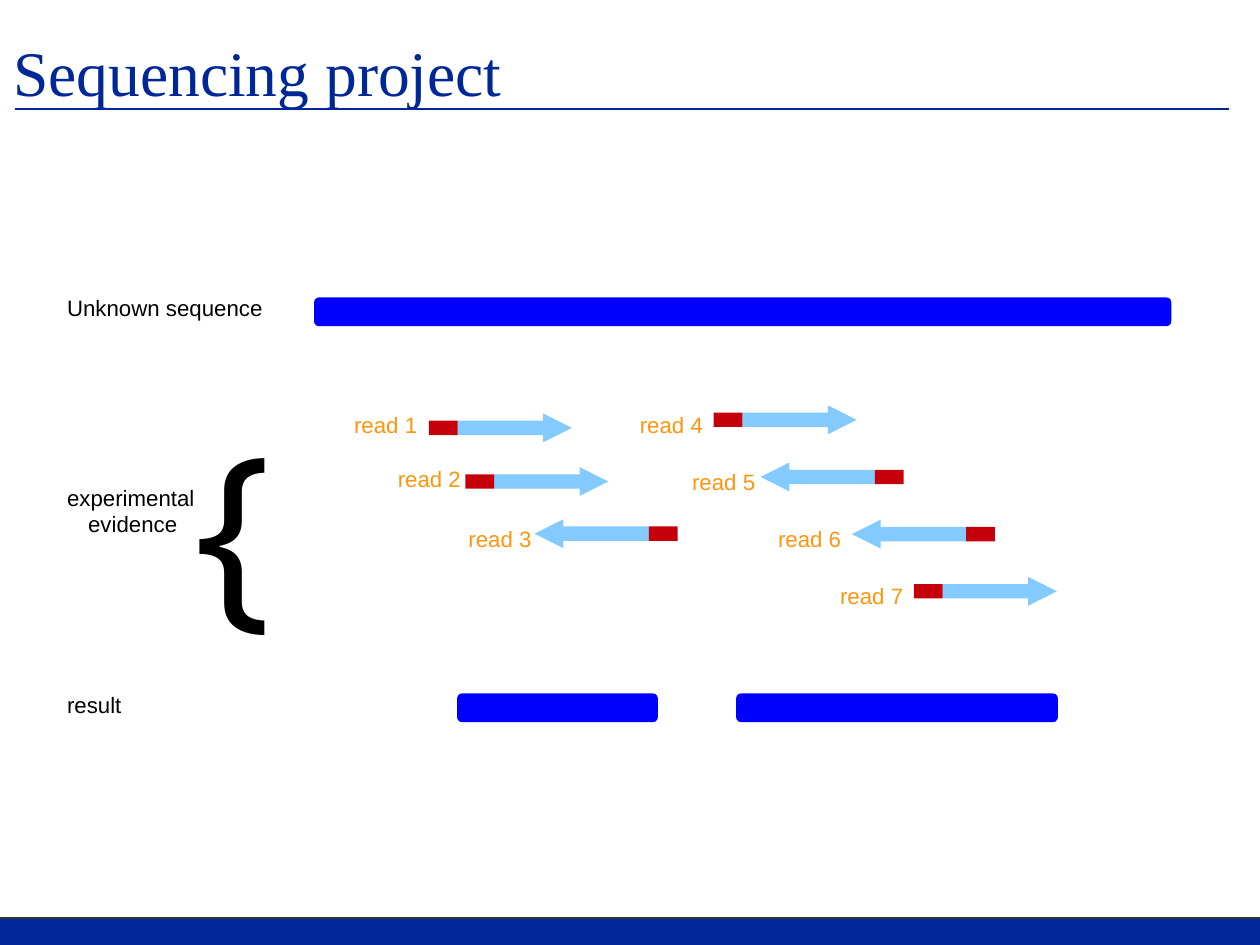
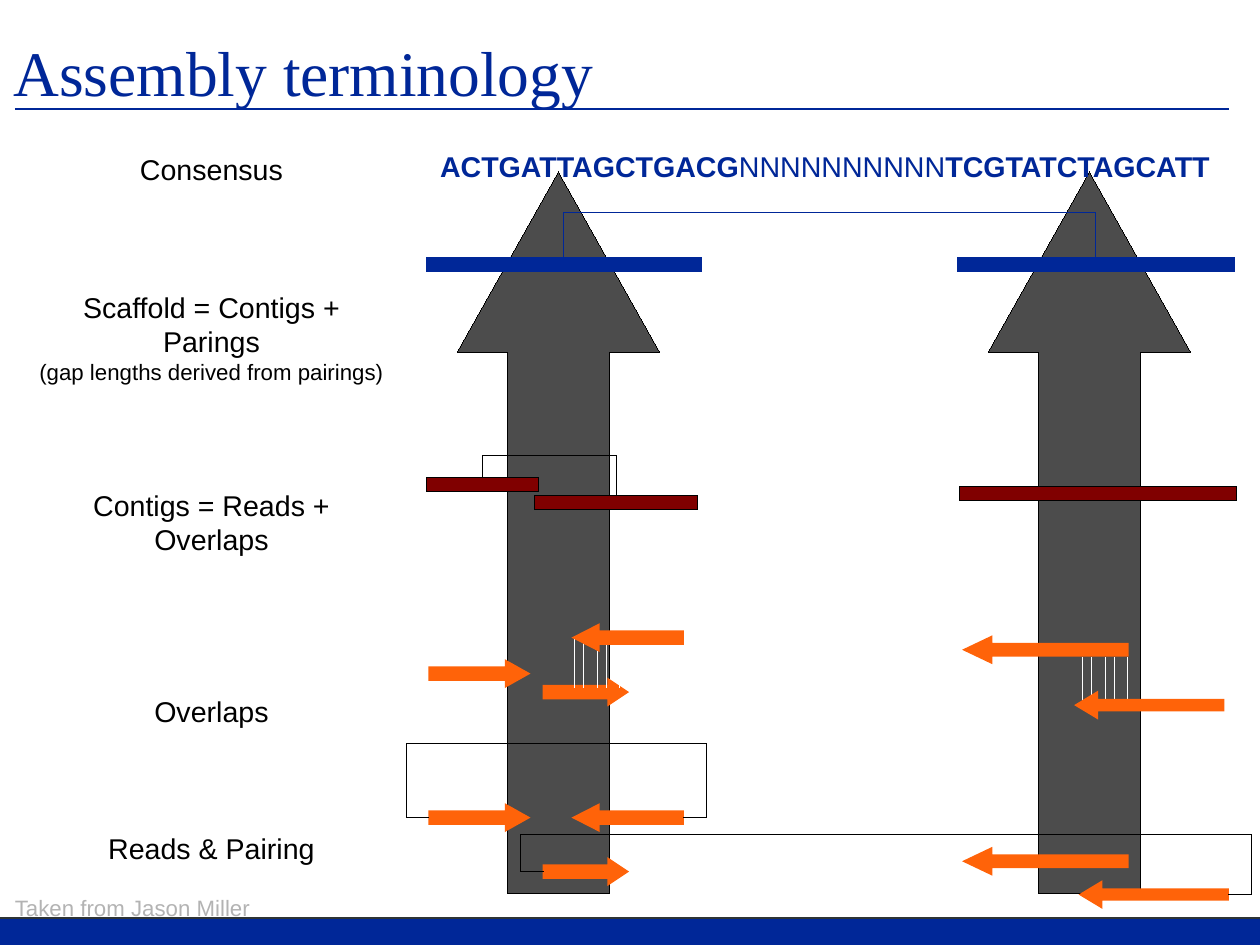
from dataclasses import dataclass

from lxml import etree
from pptx import Presentation
from pptx import util as u
from pptx.dml.color import RGBColor
from pptx.enum import shapes, text
from pptx.oxml import ns

Cm, Pt = u.Cm, u.Pt
PRESET = shapes.MSO_SHAPE


@dataclass(frozen=True)
class Theme:
    navy: str = "002798"
    edge: str = "2E3436"
    black: str = "000000"
    white: str = "FFFFFF"
    blue: str = "0000FF"
    sky: str = "83CAFF"
    primer: str = "C5000B"
    amber: str = "FF950E"
    grey: str = "4C4C4C"
    maroon: str = "800000"
    orange: str = "FF6309"
    pale: str = "B3B3B3"
    title_font: str = "Times New Roman"
    font: str = "Arial"
    brace_font: str = "Noto Sans Mono"
    title: float = 40
    large: float = 18
    small: float = 14
    brace: float = 127.8
    rule: float = 1.42
    hairline: float = 0.01


THEME = Theme()
SLIDE_WIDTH, SLIDE_HEIGHT = 28, 21
BAND_TOP = 20.4
TITLE_BOX = (0.3, -0.17, 26.6, 3.5)
RULES = [((0, BAND_TOP), (28, BAND_TOP), THEME.edge),
         ((0.33, 2.43), (27.31, 2.43), THEME.navy)]

LABEL_HEIGHT = 0.81
ROW_LABELS = [("Unknown sequence", 6.41, 4.95), ("result", 15.24, 1.83),
              ("experimental\nevidence", 10.63, 3.42)]
SEQUENCE_BARS = [(6.98, 6.61, 19.05), (10.16, 15.41, 4.46), (16.36, 15.41, 7.15)]
READ_HEIGHT, READ_LENGTH = 0.64, 2.54
PRIMER_LENGTH, PRIMER_HEIGHT = 0.64, 0.32
READS = [
    ("read 1", 7.62, 9.02, 9.53, 9.19, "right"),
    ("read 2", 8.59, 10.21, 10.34, 10.38, "right"),
    ("read 3", 10.16, 11.54, 11.88, 11.54, "left"),
    ("read 4", 13.97, 9.01, 15.86, 9.01, "right"),
    ("read 5", 15.13, 10.28, 16.9, 10.28, "left"),
    ("read 6", 17.04, 11.55, 18.93, 11.55, "left"),
    ("read 7", 18.42, 12.82, 20.31, 12.82, "right"),
]

STEPS = [
    ("Consensus", THEME.large, 0),
    ("Scaffold = Contigs + Parings", THEME.large, 65.5),
    ("(gap lengths derived from pairings)", THEME.small, 0),
    ("Contigs = Reads + Overlaps", THEME.large, 64.6),
    ("Overlaps", THEME.large, 86.3),
    ("Reads & Pairing", THEME.large, 65),
]
CONSENSUS = [("ACTGATTAGCTGACG", True), ("NNNNNNNNNN", False), ("TCGTATCTAGCATT", True)]
UP_ARROW_LEFTS = (21.96, 10.16)
BAR_HEIGHT = 0.32
CONTIGS = [(9.47, 10.61, 2.49), (11.88, 11.01, 3.63), (21.32, 10.81, 6.15)]
SCAFFOLDS = [(9.47, 5.72, 6.12), (21.28, 5.72, 6.15)]
READ_KINDS = {
    "first": (2.27, "right", 0.5, 0.89),
    "mate": (2.5, "left", 0.5, 0.98),
    "short": (1.92, "right", 0.5, 0.75),
    "long": (3.7, "left", 0.47, 1.05),
    "end": (3.34, "left", 0.43, 0.83),
}
PAIRED_READS = [("first", 9.52, 17.85), ("mate", 12.7, 17.85), ("short", 12.06, 19.05),
                ("long", 21.38, 18.82), ("end", 23.97, 19.56)]
LOWER_OVERLAP = [("short", 12.06, 15.06)]
UPPER_OVERLAPS = [("mate", 12.7, 13.85), ("long", 21.38, 14.12),
                  ("end", 23.87, 15.35), ("first", 9.52, 14.65)]
MATCH_ORIGINS = [(12.76, 14.2), (24.05, 14.6)]
MATCH_OFFSETS = (0, 0.2, 0.51, 0.71, 1.01)
MATCH_HEIGHT = 1.07
BRACKETS = [
    ([(9.53, 18.16), (9.03, 18.16), (9.03, 16.53), (15.7, 16.53), (15.7, 18.16),
      (15.19, 18.16)], THEME.black),
    ([(12.07, 19.37), (11.56, 19.37), (11.56, 18.54), (27.81, 18.54), (27.81, 19.87),
      (27.31, 19.87)], THEME.black),
    ([(10.72, 10.62), (10.72, 10.12), (13.69, 10.12), (13.69, 11.02)], THEME.black),
    ([(12.52, 5.72), (12.52, 4.72), (24.35, 4.72), (24.35, 5.72)], THEME.navy),
]


def color(value):
    return RGBColor.from_string(value)


def add_block(slide, preset, box, fill, outline=None, adjustments=()):
    shape = slide.shapes.add_shape(preset, *map(Cm, box))
    shape.shadow.inherit = False
    shape.fill.solid()
    shape.fill.fore_color.rgb = color(fill)
    if outline:
        shape.line.color.rgb = color(outline)
        shape.line.width = Pt(THEME.hairline)
    else:
        shape.line.fill.background()
    for index, value in enumerate(adjustments):
        shape.adjustments[index] = value
    return shape


def add_line(slide, start, end, stroke, width=THEME.hairline):
    line = slide.shapes.add_connector(shapes.MSO_CONNECTOR.STRAIGHT,
                                      *map(Cm, start + end))
    line.line.color.rgb = color(stroke)
    line.line.width = Pt(width)
    etree.SubElement(line.element.spPr, ns.qn("a:effectLst"))
    return line


def add_bracket(slide, points, stroke):
    corners = [(Cm(x), Cm(y)) for x, y in points]
    builder = slide.shapes.build_freeform(*corners[0])
    builder.add_line_segments(corners[1:], close=False)
    shape = builder.convert_to_shape()
    shape.shadow.inherit = False
    shape.fill.background()
    shape.line.color.rgb = color(stroke)
    shape.line.width = Pt(THEME.hairline)


def format_run(run, size, fill, font=THEME.font, bold=False):
    run.font.name = font
    run.font.size = Pt(size)
    run.font.bold = bold
    run.font.color.rgb = color(fill)


def add_text(slide, words, box, size=THEME.small, fill=THEME.black, font=THEME.font):
    frame = slide.shapes.add_textbox(*map(Cm, box)).text_frame
    frame.word_wrap = True
    frame.text = words
    for paragraph in frame.paragraphs:
        for run in paragraph.runs:
            format_run(run, size, fill, font)
    return frame


def arrow_preset(direction):
    return PRESET.RIGHT_ARROW if direction == "right" else PRESET.LEFT_ARROW


def add_titled_slide(presentation, layout, title):
    slide = presentation.slides.add_slide(layout)
    slide.shapes.title.text_frame.text = title
    paragraph = slide.shapes.title.text_frame.paragraphs[0]
    paragraph.alignment = text.PP_ALIGN.LEFT
    format_run(paragraph.runs[0], THEME.title, THEME.navy, THEME.title_font)
    return slide


def prepare_layout(layout):
    title = layout.placeholders[0]
    title.left, title.top, title.width, title.height = map(Cm, TITLE_BOX)
    frame = title.text_frame
    frame.margin_left = frame.margin_right = frame.margin_top = frame.margin_bottom = 0
    frame.vertical_anchor = text.MSO_ANCHOR.MIDDLE


def move_frame_to_master(presentation, slide):
    band = add_block(slide, PRESET.RECTANGLE,
                     (0, BAND_TOP, SLIDE_WIDTH, SLIDE_HEIGHT - BAND_TOP), THEME.navy)
    rules = [add_line(slide, *rule, THEME.rule) for rule in RULES]
    for number, shape in enumerate([band, *rules], start=20):
        shape.element.xpath(".//p:cNvPr")[0].set("id", str(number))
        presentation.slide_master.shapes.element.append(shape.element)


def draw_sequencing(slide):
    for left, top, width in SEQUENCE_BARS:
        add_block(slide, PRESET.ROUNDED_RECTANGLE, (left, top, width, READ_HEIGHT),
                  THEME.blue, adjustments=(0.17,))
    for words, top, width in ROW_LABELS:
        frame = add_text(slide, words, (1.24, top, width, LABEL_HEIGHT))
        for paragraph in frame.paragraphs[1:]:
            paragraph.alignment = text.PP_ALIGN.CENTER
    add_text(slide, "{", (3.56, 8.77, 3.4, 4.75), THEME.brace, font=THEME.brace_font)
    for name, label_left, label_top, left, top, direction in READS:
        add_text(slide, name, (label_left, label_top, 2.1, LABEL_HEIGHT), fill=THEME.amber)
        forward = direction == "right"
        arrow_left = left + PRIMER_LENGTH if forward else left
        primer_left = left if forward else left + READ_LENGTH
        add_block(slide, arrow_preset(direction),
                  (arrow_left, top, READ_LENGTH, READ_HEIGHT), THEME.sky,
                  adjustments=(0.5, 1))
        add_block(slide, PRESET.RECTANGLE,
                  (primer_left, top + (READ_HEIGHT - PRIMER_HEIGHT) / 2,
                   PRIMER_LENGTH, PRIMER_HEIGHT), THEME.primer)


def draw_reads(slide, reads):
    for kind, left, top in reads:
        width, direction, shaft, head = READ_KINDS[kind]
        add_block(slide, arrow_preset(direction), (left, top, width, READ_HEIGHT),
                  THEME.orange, adjustments=(shaft, head))


def draw_terminology(slide):
    for left in UP_ARROW_LEFTS:
        add_block(slide, PRESET.UP_ARROW, (left, 3.82, 4.5, 16.03), THEME.grey,
                  THEME.black, (0.5, 0.89))

    frame = add_text(slide, "\n".join(step[0] for step in STEPS),
                     (0.51, 3.25, 8.38, 17))
    for paragraph, (_, size, gap) in zip(frame.paragraphs, STEPS):
        paragraph.alignment = text.PP_ALIGN.CENTER
        paragraph.space_before = Pt(gap)
        paragraph.runs[0].font.size = Pt(size)

    frame = add_text(slide, "", (9.53, 3.18, 17.78, 0.97))
    for letters, bold in CONSENSUS:
        run = frame.paragraphs[0].add_run()
        run.text = letters
        format_run(run, THEME.large, THEME.navy, bold=bold)

    draw_reads(slide, PAIRED_READS + LOWER_OVERLAP)
    for left, top in MATCH_ORIGINS:
        for offset in MATCH_OFFSETS:
            add_line(slide, (left + offset, top), (left + offset, top + MATCH_HEIGHT),
                     THEME.white)
    draw_reads(slide, UPPER_OVERLAPS)
    for points, stroke in BRACKETS:
        add_bracket(slide, points, stroke)
    for bars, fill, outline in ((CONTIGS, THEME.maroon, THEME.black),
                                (SCAFFOLDS, THEME.navy, THEME.navy)):
        for left, top, width in bars:
            add_block(slide, PRESET.RECTANGLE, (left, top, width, BAR_HEIGHT),
                      fill, outline)
    add_text(slide, "Taken from Jason Miller", (0.08, 19.74, 6.7, LABEL_HEIGHT),
             fill=THEME.pale)


def main():
    presentation = Presentation()
    presentation.slide_width, presentation.slide_height = Cm(SLIDE_WIDTH), Cm(SLIDE_HEIGHT)
    layout = presentation.slide_layouts.get_by_name("Title Only")
    prepare_layout(layout)
    sequencing = add_titled_slide(presentation, layout, "Sequencing project")
    move_frame_to_master(presentation, sequencing)
    draw_sequencing(sequencing)
    draw_terminology(add_titled_slide(presentation, layout, "Assembly terminology"))
    presentation.save("out.pptx")


if __name__ == "__main__":
    main()
